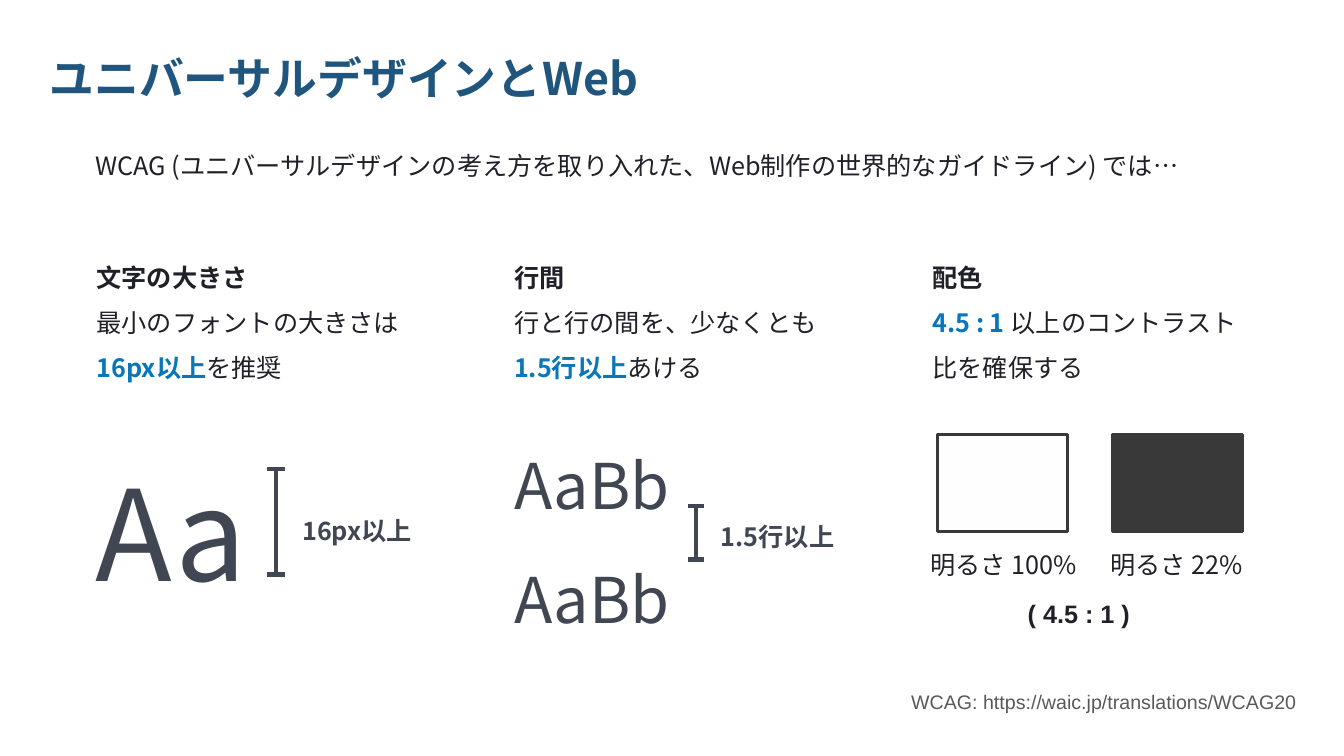
from lxml import etree
from pptx import Presentation
from pptx.dml.color import RGBColor
from pptx.enum.shapes import MSO_CONNECTOR, MSO_SHAPE
from pptx.enum.text import MSO_ANCHOR, MSO_AUTO_SIZE, PP_ALIGN
from pptx.oxml.ns import qn
from pptx.util import Inches, Pt

LEFT, CENTER, RIGHT = PP_ALIGN.LEFT, PP_ALIGN.CENTER, PP_ALIGN.RIGHT
TOP, BOTTOM = MSO_ANCHOR.TOP, MSO_ANCHOR.BOTTOM
FIXED_SIZE = MSO_AUTO_SIZE.NONE
STRAIGHT = MSO_CONNECTOR.STRAIGHT
RECTANGLE = MSO_SHAPE.RECTANGLE
TITLE_ONLY = 5

COLORS = {
    "title": "20567E",
    "body": "202028",
    "accent": "0876BA",
    "sample": "404652",
    "source": "595959",
    "light": "FFFEFF",
    "dark": "393939",
}
SANS = "Noto Sans CJK JP"
ARIAL = "Arial"


def color(name):
    return RGBColor.from_string(COLORS[name])


class GuidelineSlide:
    def __init__(self, deck):
        self.slide = deck.slides.add_slide(deck.slide_layouts[TITLE_ONLY])
        self.shapes = self.slide.shapes

    def format_span(self, span, size, tone, bold, font):
        span.font.size = Pt(size)
        span.font.bold = bold
        span.font.name = font
        span.font.color.rgb = color(tone)
        east_asian = etree.SubElement(span.font._element, qn("a:ea"))
        east_asian.set("typeface", font)

    def fill_text(self, box, paragraphs, size, font=SANS, align=LEFT,
                  spacing=1.5, anchor=TOP):
        frame = box.text_frame
        frame.word_wrap = True
        frame.auto_size = FIXED_SIZE
        frame.vertical_anchor = anchor
        for index, spans in enumerate(paragraphs):
            para = frame.add_paragraph() if index else frame.paragraphs[0]
            para.alignment = align
            para.line_spacing = spacing
            for text, tone, bold in spans:
                span = para.add_run()
                span.text = text
                self.format_span(span, size, tone, bold, font)

    def title(self, text, left, top, width, height):
        box = self.shapes.title
        box.left, box.top = Inches(left), Inches(top)
        box.width, box.height = Inches(width), Inches(height)
        self.fill_text(box, [[(text, "title", True)]], 32)

    def text(self, paragraphs, left, top, width, height, size=18, **style):
        box = self.shapes.add_textbox(
            Inches(left), Inches(top), Inches(width), Inches(height))
        self.fill_text(box, paragraphs, size, **style)

    def line(self, x1, y1, x2, y2):
        line = self.shapes.add_connector(
            STRAIGHT, Inches(x1), Inches(y1), Inches(x2), Inches(y2))
        line.line.color.rgb = color("sample")
        line.line.width = Pt(3)
        etree.SubElement(line._element.spPr, qn("a:effectLst"))

    def measure(self, x, top, bottom, cap):
        self.line(x, top, x, bottom)
        for y in (top, bottom):
            self.line(x - cap / 2, y, x + cap / 2, y)

    def swatch(self, left, fill):
        swatch = self.shapes.add_shape(
            RECTANGLE, Inches(left), Inches(4.31), Inches(1.29), Inches(0.96))
        swatch.shadow.inherit = False
        swatch.fill.solid()
        swatch.fill.fore_color.rgb = color(fill)
        swatch.line.color.rgb = color("dark")
        swatch.line.width = Pt(2)


def main():
    deck = Presentation()
    deck.slide_width, deck.slide_height = Inches(13.33), Inches(7.5)
    page = GuidelineSlide(deck)

    page.title("ユニバーサルデザインとWeb", 0.39, 0.19, 8.45, 0.83)
    page.text([[("WCAG (ユニバーサルデザインの考え方を取り入れた、"
                 "Web制作の世界的なガイドライン) では…", "body", False)]],
              0.85, 1.29, 11.19, 1.42)

    guidelines = [
        (0.86, "文字の大きさ", [("最小のフォントの大きさは", "body", False),
                          ("16px以上", "accent", True),
                          ("を推奨", "body", False)]),
        (5, "行間", [("行と行の間を、少なくとも", "body", False),
                   ("1.5行以上", "accent", True),
                   ("あける", "body", False)]),
        (9.15, "配色", [("4.5 : 1 ", "accent", True),
                      ("以上のコントラスト比を確保する", "body", False)]),
    ]
    for left, heading, advice in guidelines:
        page.text([[(heading, "body", True)], advice], left, 2.4, 3.33, 1.42)

    page.text([[("Aa", "sample", False)]], 0.85, 4.47, 2.55, 1.62,
              size=90, spacing=1)
    page.measure(2.74, 4.65, 5.7, 0.18)
    page.text([[("16px以上", "sample", True)]], 2.9, 4.91, 1.3, 0.51)

    page.text([[("AaBb", "sample", False)]] * 2, 5, 4.01, 2.55, 2.26, size=45)
    page.measure(6.9, 5.02, 5.55, 0.16)
    page.text([[("1.5行以上", "sample", True)]], 7.05, 4.97, 1.39, 0.51)

    swatches = [(9.3, "light", 9.09, "明るさ 100%"),
                (11.03, "dark", 10.81, "明るさ 22%")]
    for left, fill, label_left, label in swatches:
        page.swatch(left, fill)
        page.text([[(label, "body", False)]], label_left, 5.4, 1.72, 0.4,
                  align=CENTER, spacing=1)
    page.text([[("( 4.5 : 1 )", "body", True)]], 9.84, 5.89, 1.72, 0.4,
              font=ARIAL, align=CENTER, spacing=1)

    page.text([[("WCAG: https://waic.jp/translations/WCAG20", "source", False)]],
              4.72, 6.71, 8.24, 0.42, size=14, font=ARIAL, align=RIGHT,
              anchor=BOTTOM)
    deck.save("out.pptx")


if __name__ == "__main__":
    main()
